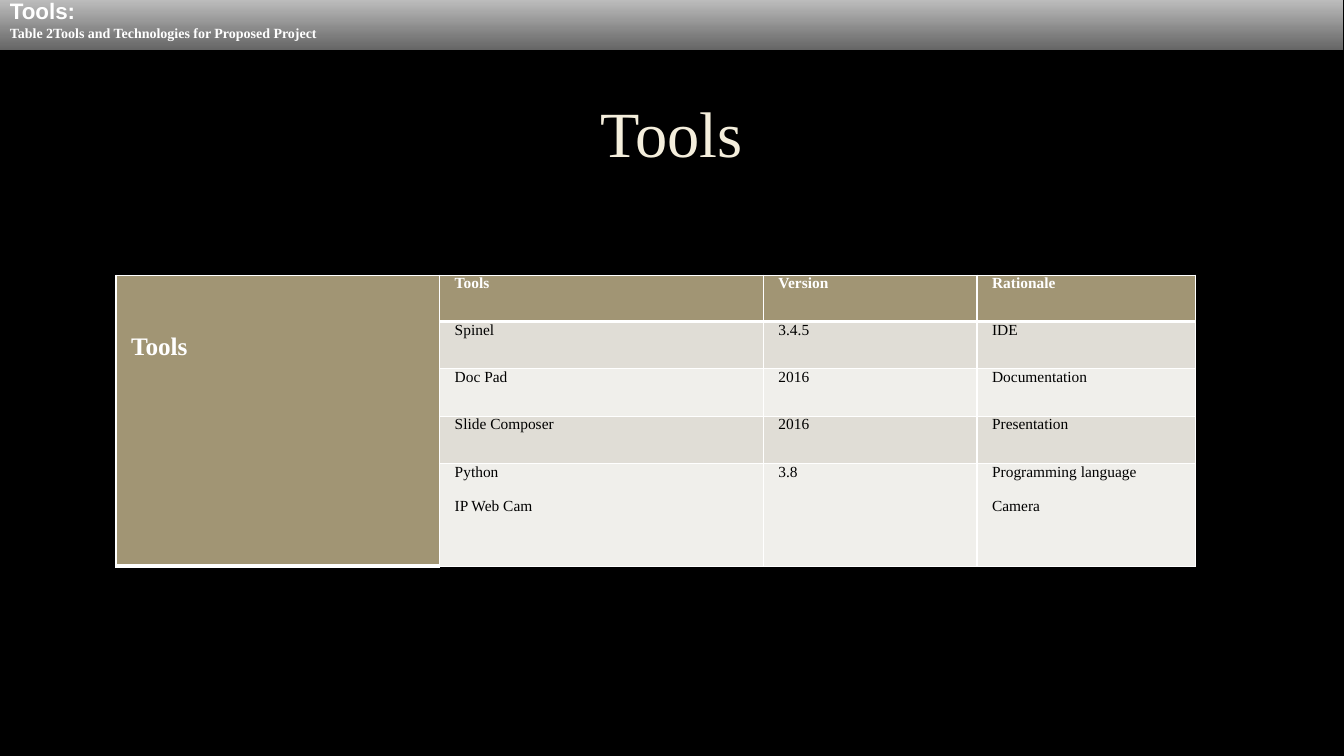
import pptx
import pptx.dml.color
import pptx.enum.shapes
import pptx.enum.text
import pptx.oxml
import pptx.oxml.ns
import pptx.util

WIDTH, HEIGHT = 13.33, 7.5
SERIF = "Times New Roman"
ANCHOR = pptx.enum.text.MSO_ANCHOR
ALIGN = pptx.enum.text.PP_ALIGN
COLUMNS = [3.21, 3.21, 2.12, 2.17]
ROWS = [0.46, 0.47, 0.47, 0.47, 1.02]
HEADINGS = ["Tools", "Tools", "Version", "Rationale"]
TOOLS = [
    ["Spinel", "3.4.5", "IDE"],
    ["Doc Pad", "2016", "Documentation"],
    ["Slide Composer", "2016", "Presentation"],
    ["Python\nIP Web Cam", "3.8", "Programming language\nCamera"],
]


def inches(value):
    """Turn inches into a length."""
    return pptx.util.Inches(value)


def color(code):
    """Turn a hex string into a colour."""
    return pptx.dml.color.RGBColor.from_string(code)


def apply(target, values):
    """Set every attribute named in a dict of format values."""
    for name, value in values.items():
        setattr(target, name, value)


def write(frame, lines, gap=0, align=ALIGN.LEFT, spacing=1.0):
    """Fill a text frame with (text, size, font, colour, bold) lines."""
    for index, (text, size, font, ink, bold) in enumerate(lines):
        para = frame.add_paragraph() if index else frame.paragraphs[0]
        apply(para, {"alignment": align, "line_spacing": spacing,
                     "space_before": pptx.util.Pt(gap if index else 0)})
        span = para.add_run()
        span.text = text
        apply(span.font, {"size": pptx.util.Pt(size), "name": font, "bold": bold})
        span.font.color.rgb = color(ink)


def add_title(page, text):
    """Add the centred title."""
    box = page.shapes.add_textbox(inches(1), inches(0.67), inches(11.32), inches(1.38))
    apply(box.text_frame, {"word_wrap": True, "vertical_anchor": ANCHOR.MIDDLE})
    write(box.text_frame, [(text, 46, SERIF, "F4EEDC", False)], align=ALIGN.CENTER, spacing=0.9)


def add_banner(page, lines):
    """Add the gradient band across the top of the page."""
    band = page.shapes.add_shape(pptx.enum.shapes.MSO_SHAPE.RECTANGLE,
                                 0, 0, inches(WIDTH), inches(HEIGHT / 15))
    band.shadow.inherit = False
    band.fill.gradient()
    band.fill.gradient_angle = 270
    for stop, position, code in zip(band.fill.gradient_stops, (0, 1), ("BCBCBC", "656565")):
        stop.position = position
        stop.color.rgb = color(code)
    band.line.color.rgb = color("000000")
    band.line.width = pptx.util.Pt(0.75)
    apply(band.text_frame, {"word_wrap": False, "vertical_anchor": ANCHOR.MIDDLE,
                            "margin_left": inches(0.1), "margin_right": inches(0.1),
                            "margin_top": 0, "margin_bottom": inches(0.12)})
    write(band.text_frame, lines)


def add_borders(cell, bottom):
    """Draw white borders round a cell, with its own bottom width."""
    properties = cell._tc.get_or_add_tcPr()
    for side, points in zip("LRTB", (1, 1, 1, bottom)):
        properties.append(pptx.oxml.parse_xml(
            f'<a:ln{side} {pptx.oxml.ns.nsdecls("a")} w="{pptx.util.Pt(points)}">'
            f'<a:solidFill><a:srgbClr val="FFFFFF"/></a:solidFill></a:ln{side}>'))


def format_cell(cell, fill, bottom):
    """Give a cell its borders, fill and margins."""
    add_borders(cell, bottom)
    cell.fill.solid()
    cell.fill.fore_color.rgb = color(fill)
    apply(cell, {"margin_left": inches(0.15), "margin_right": inches(0.04),
                 "margin_top": 0, "margin_bottom": 0})


def add_tools_table(page):
    """Add the table of tools with its merged side heading."""
    table = page.shapes.add_table(len(ROWS), len(COLUMNS), inches(1.15), inches(2.73),
                                  inches(sum(COLUMNS)), inches(sum(ROWS))).table
    for column, width in zip(table.columns, COLUMNS):
        column.width = inches(width)
    for row, height in zip(table.rows, ROWS):
        row.height = inches(height)
    for r in range(len(ROWS)):
        for c in range(len(COLUMNS)):
            heading = r == 0 or c == 0
            fill = "A19574" if heading else ("F0EFEB", "E0DDD6")[r % 2]
            cell = table.cell(r, c)
            format_cell(cell, fill, 3 if heading else 1)
            if r and not c:
                continue
            text = TOOLS[r - 1][c - 1] if r else HEADINGS[c]
            size = 11 if c else 18
            ink = "FFFFFF" if heading else "000000"
            write(cell.text_frame, [(line, size, SERIF, ink, heading)
                                    for line in text.split("\n")], gap=12)
    side = table.cell(0, 0)
    side.merge(table.cell(len(ROWS) - 1, 0))
    side.margin_top = inches(0.57)


def main():
    """Build the tools slide and save it."""
    deck = pptx.Presentation()
    apply(deck, {"slide_width": inches(WIDTH), "slide_height": inches(HEIGHT)})
    page = deck.slides.add_slide(deck.slide_layouts[6])
    page.background.fill.solid()
    page.background.fill.fore_color.rgb = color("000000")
    add_title(page, "Tools")
    add_tools_table(page)
    add_banner(page, [
        ("Tools:", 16, "Arial", "FFFFFF", True),
        ("Table 2Tools and Technologies for Proposed Project", 10, SERIF, "FFFFFF", True),
    ])
    deck.save("out.pptx")


if __name__ == "__main__":
    main()
